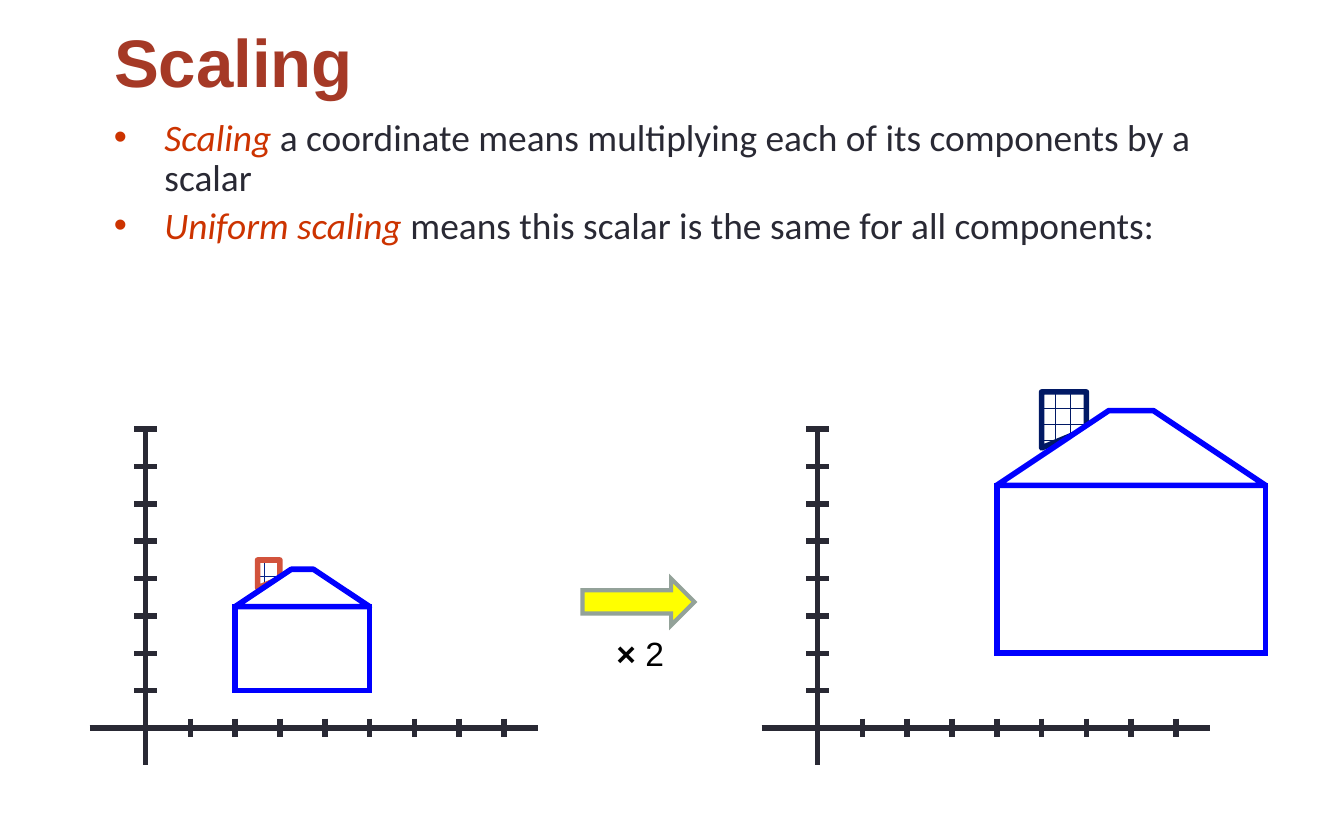
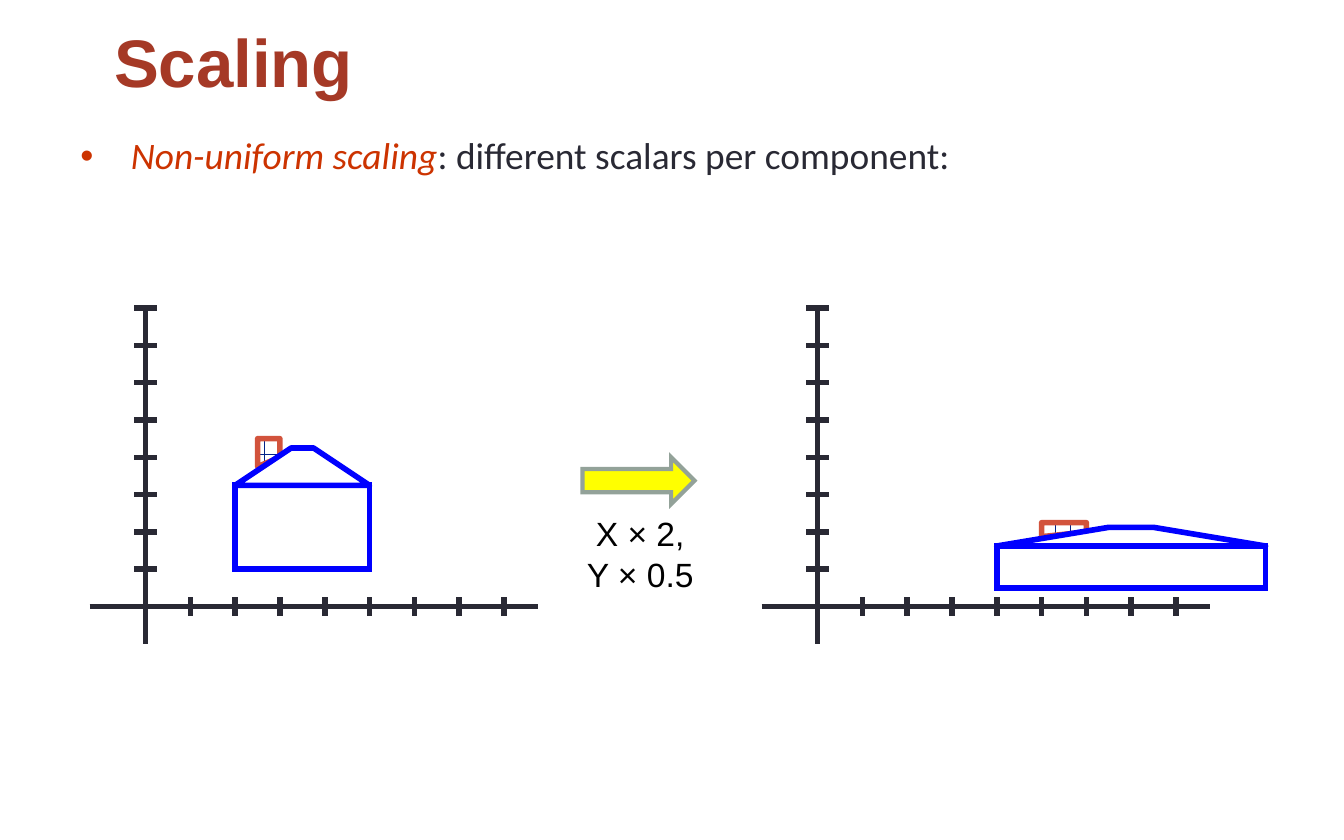
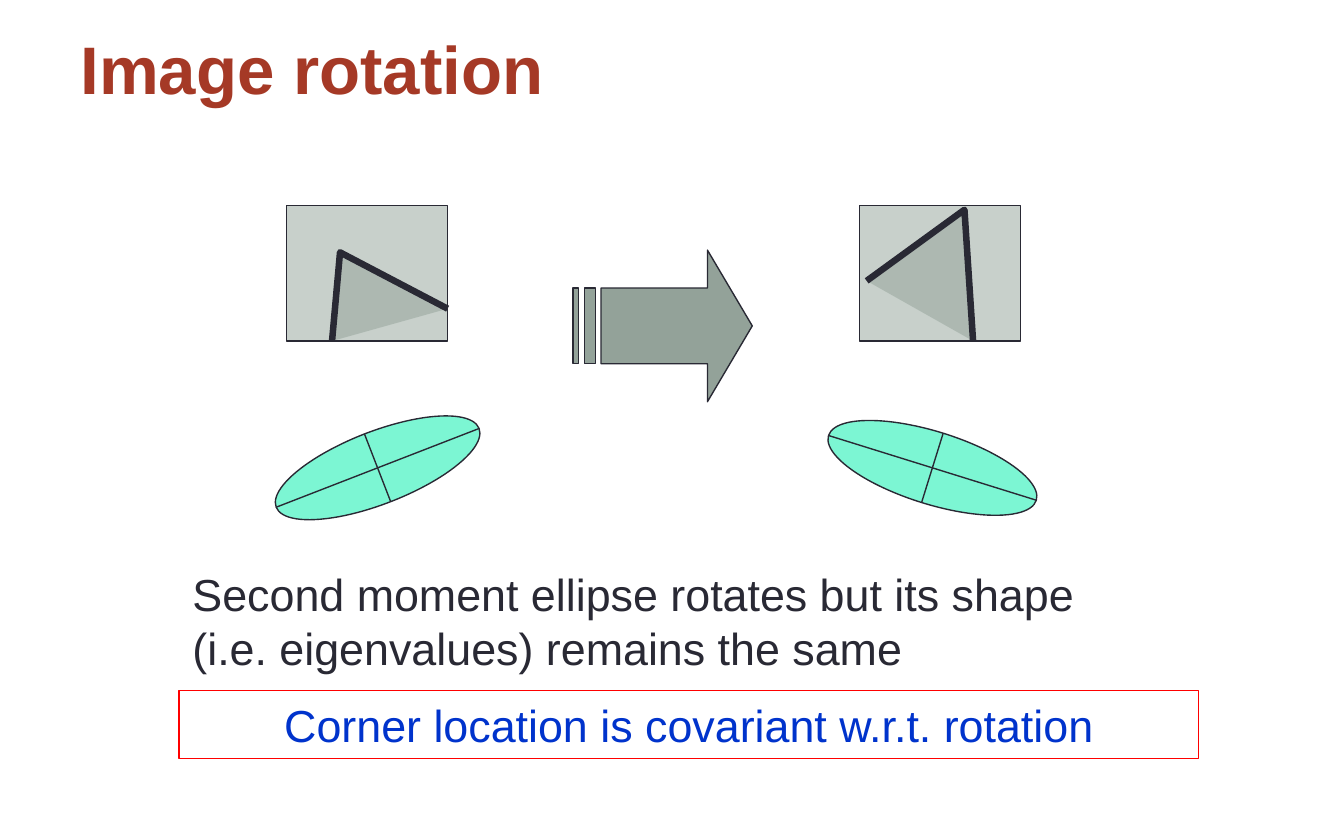
from dataclasses import dataclass
from math import cos, radians, sin
from typing import NamedTuple

from lxml.etree import SubElement
from pptx import Presentation
from pptx.dml.color import RGBColor
from pptx.enum.dml import MSO_PATTERN
from pptx.enum.shapes import MSO_CONNECTOR, MSO_SHAPE
from pptx.enum.text import MSO_ANCHOR, MSO_AUTO_SIZE, PP_ALIGN
from pptx.oxml.ns import qn
from pptx.util import Pt


@dataclass(frozen=True)
class Theme:
    title: str = "A53926"
    ink: str = "292934"
    term: str = "CC3300"
    black: str = "000000"
    white: str = "FFFFFF"
    house: str = "0000FF"
    chimney: str = "D2533C"
    brick: str = "032389"
    dark_brick: str = "011965"
    arrow: str = "FFFF00"
    sage: str = "93A299"
    ellipse: str = "7CF6D3"
    frame: str = "FF0000"
    conclusion: str = "0033CC"
    heading_font: str = "Arial"
    body_font: str = "Calibri"
    title_size: int = 36
    body_size: int = 20
    label_size: int = 18
    caption_size: int = 24
    thick: float = 3
    thin: float = 0.75


class Box(NamedTuple):
    left: float
    top: float
    width: float
    height: float

    def in_points(self):
        return [Pt(length) for length in self]

    def center(self):
        return self.left + self.width / 2, self.top + self.height / 2


THEME = Theme()
UNIT_X, UNIT_Y, TICKS = 24, 20, 8
# House outline in axis units, before scaling
WALL = [(2, 1), (2, 3.25), (5, 3.25), (5, 1)]
ROOF = [(2, 3.25), (3.25, 4.25), (3.75, 4.25), (5, 3.25)]
CHIMNEY = [(2.5, 3.75), (2.5, 4.5), (3, 4.5), (3, 4)]


def rgb(color):
    return RGBColor.from_string(color)


def set_line(shape, color, width):
    shape.line.color.rgb = rgb(color)
    shape.line.width = Pt(width)


def square_corners(shape):
    SubElement(shape.line._get_or_add_ln(), qn("a:miter"), lim="800000")


def paint(shape, fill, line, width, opacity=None):
    shape.shadow.inherit = False
    shape.fill.solid()
    shape.fill.fore_color.rgb = rgb(fill)
    if opacity is not None:
        solid = shape.fill._xPr.find(qn("a:solidFill"))
        SubElement(solid[0], qn("a:alpha"), val=str(opacity * 1000))
    set_line(shape, line, width)


def add_line(slide, start, end, width):
    line = slide.shapes.add_connector(
        MSO_CONNECTOR.STRAIGHT, *(Pt(v) for v in (*start, *end)))
    SubElement(line._element.spPr, qn("a:effectLst"))
    set_line(line, THEME.ink, width)


def add_outline(slide, *contours, close=True):
    contours = [[(Pt(x), Pt(y)) for x, y in contour] for contour in contours]
    builder = slide.shapes.build_freeform(*contours[0][0])
    for index, (start, *rest) in enumerate(contours):
        if index:
            builder.move_to(*start)
        builder.add_line_segments(rest, close=close)
    return builder.convert_to_shape()


def write(paragraph, pieces, font, size):
    """Fill a paragraph with (text, color, style) pieces; style holds font flags."""
    for text, color, style in pieces:
        for index, line in enumerate(text.split("\n")):
            if index:
                paragraph.add_line_break()
            run = paragraph.add_run()
            run.text = line
            run.font.name, run.font.size = font, Pt(size)
            run.font.color.rgb = rgb(color)
            run.font.bold, run.font.italic = "b" in style, "i" in style


def add_text_box(slide, box, wrap=True):
    text_box = slide.shapes.add_textbox(*box.in_points())
    text_box.text_frame.word_wrap = wrap
    return text_box


def titled_slide(deck, title, box):
    slide = deck.slides.add_slide(deck.slide_layouts[5])
    heading = slide.shapes.title
    heading.left, heading.top, heading.width, heading.height = box.in_points()
    frame = heading.text_frame
    frame.auto_size = MSO_AUTO_SIZE.NONE
    frame.vertical_anchor = MSO_ANCHOR.MIDDLE
    frame.paragraphs[0].alignment = PP_ALIGN.LEFT
    write(frame.paragraphs[0], [(title, THEME.title, "b")],
          THEME.heading_font, THEME.title_size)
    return slide


def add_definitions(slide, box, definitions):
    """Bulleted (term, explanation) pairs with the term emphasised."""
    frame = add_text_box(slide, box).text_frame
    for index, (term, explanation) in enumerate(definitions):
        paragraph = frame.add_paragraph() if index else frame.paragraphs[0]
        properties = paragraph._p.get_or_add_pPr()
        properties.set("marL", str(Pt(27)))
        properties.set("indent", str(-Pt(27)))
        bullet_color = SubElement(properties, qn("a:buClr"))
        SubElement(bullet_color, qn("a:srgbClr"), val=THEME.term)
        SubElement(properties, qn("a:buFont"), typeface=THEME.heading_font)
        SubElement(properties, qn("a:buChar"), char="•")
        paragraph.line_spacing = 0.9
        if index:
            paragraph.space_before = Pt(4)
        write(paragraph, [(term, THEME.term, "i"), (explanation, THEME.ink, "")],
              THEME.body_font, THEME.body_size)


def plot_origin(box):
    return box.left + 30, box.top + TICKS * UNIT_Y


def add_axes(slide, box):
    x0, y0 = plot_origin(box)
    add_line(slide, (x0, box.top), (x0, box.top + box.height), THEME.thick)
    add_line(slide, (box.left, y0), (box.left + box.width, y0), THEME.thick)
    for tick in range(1, TICKS + 1):
        x, y = x0 + tick * UNIT_X, y0 - tick * UNIT_Y
        add_line(slide, (x, y0 - 5), (x, y0 + 5), THEME.thick)
        add_line(slide, (x0 - 6, y), (x0 + 6, y), THEME.thick)


def add_house(slide, box, scale, chimney_line, brick):
    x0, y0 = plot_origin(box)

    def scaled(points):
        return [(x0 + x * UNIT_X * scale[0], y0 - y * UNIT_Y * scale[1])
                for x, y in points]

    chimney = add_outline(slide, scaled(CHIMNEY))
    chimney.shadow.inherit = False
    chimney.fill.patterned()
    chimney.fill.pattern = MSO_PATTERN.HORIZONTAL_BRICK
    chimney.fill.fore_color.rgb = rgb(brick)
    chimney.fill.back_color.rgb = rgb(THEME.white)
    set_line(chimney, chimney_line, THEME.thick)

    corners = scaled(WALL)
    (left, bottom), (right, top) = corners[0], corners[2]
    wall = slide.shapes.add_shape(
        MSO_SHAPE.RECTANGLE, *Box(left, top, right - left, bottom - top).in_points())
    for part in (wall, add_outline(slide, scaled(ROOF))):
        paint(part, THEME.white, THEME.house, THEME.thick)
    square_corners(wall)


def add_factor(slide, box, pieces, label_height):
    """Arrow filling the box, with the scale factor centred below it."""
    arrow = slide.shapes.add_shape(MSO_SHAPE.RIGHT_ARROW, *box.in_points())
    paint(arrow, THEME.arrow, THEME.sage, 2.25)
    square_corners(arrow)
    label_box = Box(box.left - 5, box.top + 25.5, box.width + 12, label_height)
    frame = add_text_box(slide, label_box, wrap=False).text_frame
    frame.vertical_anchor = MSO_ANCHOR.MIDDLE
    frame.paragraphs[0].alignment = PP_ALIGN.CENTER
    write(frame.paragraphs[0], pieces, THEME.heading_font, THEME.label_size)


def scaling_slide(deck, body_box, definitions, plot_top, scale, factor,
                  label_height, scaled_chimney):
    slide = titled_slide(deck, "Scaling", Box(54, 5, 612, 55))
    add_definitions(slide, body_box, definitions)
    houses = [(48, (1, 1), (THEME.chimney, THEME.brick)),
              (408, scale, scaled_chimney)]
    for left, house_scale, chimney_colors in houses:
        plot = Box(left, plot_top, 240, 180)
        add_axes(slide, plot)
        add_house(slide, plot, house_scale, *chimney_colors)
    add_factor(slide, Box(312, plot_top + 80, 60, 25), factor, label_height)


def add_corner_image(slide, box, corner):
    image = slide.shapes.add_shape(MSO_SHAPE.RECTANGLE, *box.in_points())
    paint(image, THEME.sage, THEME.ink, THEME.thin, opacity=50)
    points = [(box.left + x, box.top + y) for x, y in corner]
    paint(add_outline(slide, points, close=False),
          THEME.sage, THEME.ink, 3.5, opacity=50)


def add_striped_arrow(slide, box):
    def bar(start, end):
        return [(start, 0.25), (start, 0.75), (end, 0.75), (end, 0.25)]

    head = [(0.75, 0), (0.75, 0.25), (5 / 32, 0.25), (5 / 32, 0.75),
            (0.75, 0.75), (0.75, 1), (1, 0.5)]
    contours = [[(box.left + x * box.width, box.top + y * box.height)
                 for x, y in part]
                for part in (head, bar(2 / 32, 4 / 32), bar(0, 1 / 32))]
    paint(add_outline(slide, *contours), THEME.sage, THEME.ink, THEME.thin)


def add_moment_ellipse(slide, box, angle):
    """Rotated ellipse with both of its axes drawn."""
    ellipse = slide.shapes.add_shape(MSO_SHAPE.OVAL, *box.in_points())
    ellipse.rotation = angle
    paint(ellipse, THEME.ellipse, THEME.ink, THEME.thin)
    x, y = box.center()
    for radius, turn in ((box.width / 2, angle), (box.height / 2, angle + 90)):
        dx, dy = radius * cos(radians(turn)), radius * sin(radians(turn))
        add_line(slide, (x - dx, y - dy), (x + dx, y + dy), THEME.thin)


def add_caption(slide, box, text, color, align=PP_ALIGN.LEFT):
    caption = add_text_box(slide, box)
    paragraph = caption.text_frame.paragraphs[0]
    paragraph.alignment = align
    write(paragraph, [(text, color, "")], THEME.heading_font, THEME.caption_size)
    return caption


def rotation_slide(deck):
    slide = titled_slide(deck, "Image rotation", Box(36, 12.6, 648, 47))
    add_caption(slide, Box(96, 300, 528, 65.5),
                "Second moment ellipse rotates but its shape "
                "(i.e. eigenvalues) remains the same", THEME.ink)
    views = [
        (153.4, [(24.5, 72.5), (28.8, 25), (86.4, 55.2)], 144, 338.8),
        (460.5, [(3.8, 40.3), (56.2, 2.2), (60.8, 72.5)], 441.2, 17.3),
    ]
    for image_left, corner, ellipse_left, angle in views:
        add_corner_image(slide, Box(image_left, 110.2, 86.4, 72.5), corner)
        add_moment_ellipse(slide, Box(ellipse_left, 231.2, 116.6, 38.9), angle)
    add_striped_arrow(slide, Box(307, 134, 96, 81.2))
    conclusion = add_caption(slide, Box(96, 370, 546, 36.4),
                             "Corner location is covariant w.r.t. rotation",
                             THEME.conclusion, PP_ALIGN.CENTER)
    set_line(conclusion, THEME.frame, THEME.thin)


def main():
    deck = Presentation()
    deck.slide_width, deck.slide_height = Pt(720), Pt(450)
    scaling_slide(
        deck, Box(54, 60.3, 612, 158),
        [("Scaling", " a coordinate means multiplying each of its components "
                     "by a scalar"),
         ("Uniform scaling", " means this scalar is the same for all components:")],
        plot_top=230, scale=(2, 2),
        factor=[("× ", THEME.black, "b"), ("2", THEME.black, "")], label_height=29,
        scaled_chimney=(THEME.dark_brick, THEME.dark_brick))
    scaling_slide(
        deck, Box(36, 70.2, 648, 332),
        [("Non-uniform scaling", ": different scalars per component:")],
        plot_top=165, scale=(2, 0.5),
        factor=[("X × 2,\nY × 0.5", THEME.black, "")],
        label_height=52, scaled_chimney=(THEME.chimney, THEME.brick))
    rotation_slide(deck)
    deck.save("out.pptx")


if __name__ == "__main__":
    main()
